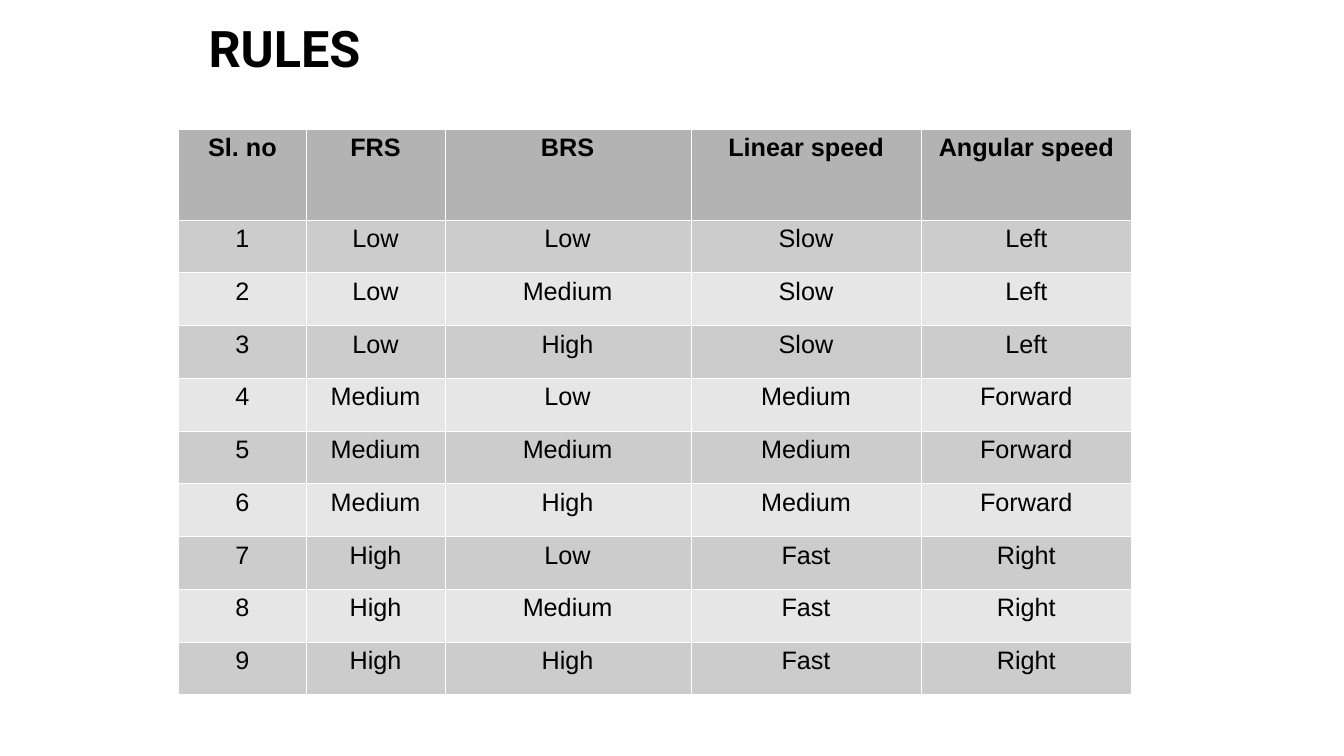
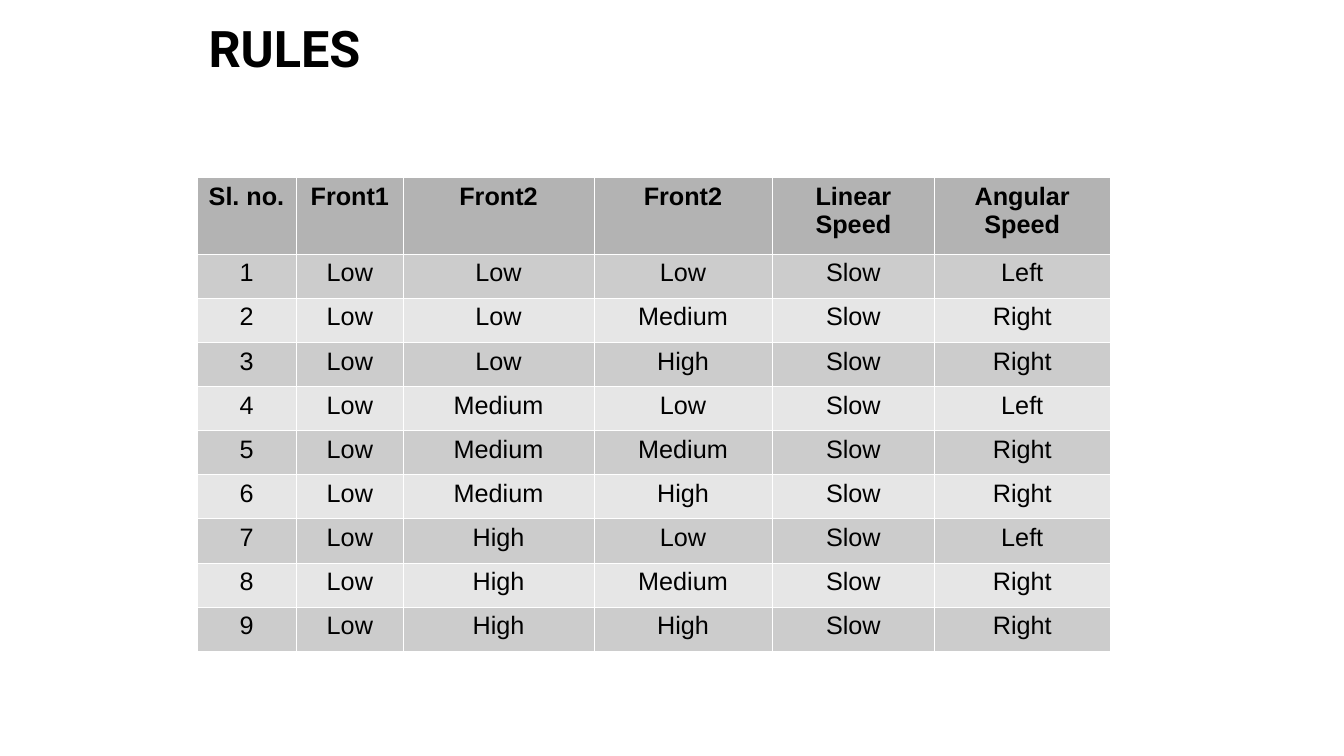
import pptx
import pptx.dml.color
import pptx.enum.text
import pptx.oxml
import pptx.oxml.ns
import pptx.util
from pptx.util import Inches

# Content: the serial number of each rule is its position in the list
TITLE = "RULES"
RULE_TABLES = [
    {
        "at": (1.77, 1.28),
        "height": 5.61,
        "header_height": 0.9,
        "widths": [1.27, 1.37, 2.44, 2.29, 2.08],
        "header": ["Sl. no", "FRS", "BRS", "Linear speed", "Angular speed"],
        "rules": [
            ("Low", "Low", "Slow", "Left"),
            ("Low", "Medium", "Slow", "Left"),
            ("Low", "High", "Slow", "Left"),
            ("Medium", "Low", "Medium", "Forward"),
            ("Medium", "Medium", "Medium", "Forward"),
            ("Medium", "High", "Medium", "Forward"),
            ("High", "Low", "Fast", "Right"),
            ("High", "Medium", "Fast", "Right"),
            ("High", "High", "Fast", "Right"),
        ],
    },
    {
        "at": (1.95, 1.76),
        "height": 4.7,
        "header_height": 0.76,
        "widths": [0.99, 1.06, 1.89, 1.77, 1.61, 1.74],
        "header": ["Sl. no.", "Front1", "Front2", "Front2", "Linear Speed", "Angular Speed"],
        "rules": [
            ("Low", "Low", "Low", "Slow", "Left"),
            ("Low", "Low", "Medium", "Slow", "Right"),
            ("Low", "Low", "High", "Slow", "Right"),
            ("Low", "Medium", "Low", "Slow", "Left"),
            ("Low", "Medium", "Medium", "Slow", "Right"),
            ("Low", "Medium", "High", "Slow", "Right"),
            ("Low", "High", "Low", "Slow", "Left"),
            ("Low", "High", "Medium", "Slow", "Right"),
            ("Low", "High", "High", "Slow", "Right"),
        ],
    },
]

# Shared style
TEXT = "000000"
HEADER_FILL = "B3B3B3"
BAND_FILLS = ["CCCCCC", "E6E6E6"]
BORDER = "FFFFFF"
BORDER_WIDTH = pptx.util.Pt(0.06)


def color(value):
    return pptx.dml.color.RGBColor.from_string(value)


def style_font(paragraph, name, size, bold):
    font = paragraph.font
    font.name = name
    font.size = pptx.util.Pt(size)
    font.bold = bold
    font.color.rgb = color(TEXT)


def add_title(page):
    box = page.shapes.add_textbox(Inches(1.97), Inches(0.15), Inches(12.94), Inches(0.64))
    frame = box.text_frame
    frame.word_wrap = True
    frame.vertical_anchor = pptx.enum.text.MSO_ANCHOR.MIDDLE
    paragraph = frame.paragraphs[0]
    paragraph.text = TITLE
    style_font(paragraph, "Roboto", 36, True)


def add_borders(cell):
    properties = cell._tc.get_or_add_tcPr()
    namespace = pptx.oxml.ns.nsdecls("a")
    for index, side in enumerate(("lnL", "lnR", "lnT", "lnB")):
        # Border lines come before the fill
        properties.insert(index, pptx.oxml.parse_xml(
            f'<a:{side} {namespace} w="{BORDER_WIDTH}"><a:solidFill>'
            f'<a:srgbClr val="{BORDER}"/></a:solidFill></a:{side}>'))


def fill_cell(cell, text, fill, bold):
    cell.fill.solid()
    cell.fill.fore_color.rgb = color(fill)
    add_borders(cell)
    paragraph = cell.text_frame.paragraphs[0]
    paragraph.text = text
    paragraph.alignment = pptx.enum.text.PP_ALIGN.CENTER
    style_font(paragraph, "Arial", 18, bold)


def add_rule_table(page, content):
    rules, widths = content["rules"], content["widths"]
    rows = [content["header"]]
    rows += [(str(number), *rule) for number, rule in enumerate(rules, 1)]
    left, top = content["at"]
    table = page.shapes.add_table(
        len(rows), len(widths), Inches(left), Inches(top),
        Inches(sum(widths)), Inches(content["height"])).table

    for column, width in zip(table.columns, widths):
        column.width = Inches(width)

    # Rules share equally the height left below the header
    rule_height = (content["height"] - content["header_height"]) / len(rules)
    for index, texts in enumerate(rows):
        is_header = index == 0
        table.rows[index].height = Inches(content["header_height"] if is_header else rule_height)
        fill = HEADER_FILL if is_header else BAND_FILLS[(index - 1) % 2]
        for cell, text in zip(table.rows[index].cells, texts):
            fill_cell(cell, text, fill, is_header)


def main():
    deck = pptx.Presentation()
    deck.slide_width = Inches(13.33)
    deck.slide_height = Inches(7.5)
    for content in RULE_TABLES:
        page = deck.slides.add_slide(deck.slide_layouts[6])
        add_title(page)
        add_rule_table(page, content)
    deck.save("out.pptx")


if __name__ == "__main__":
    main()
